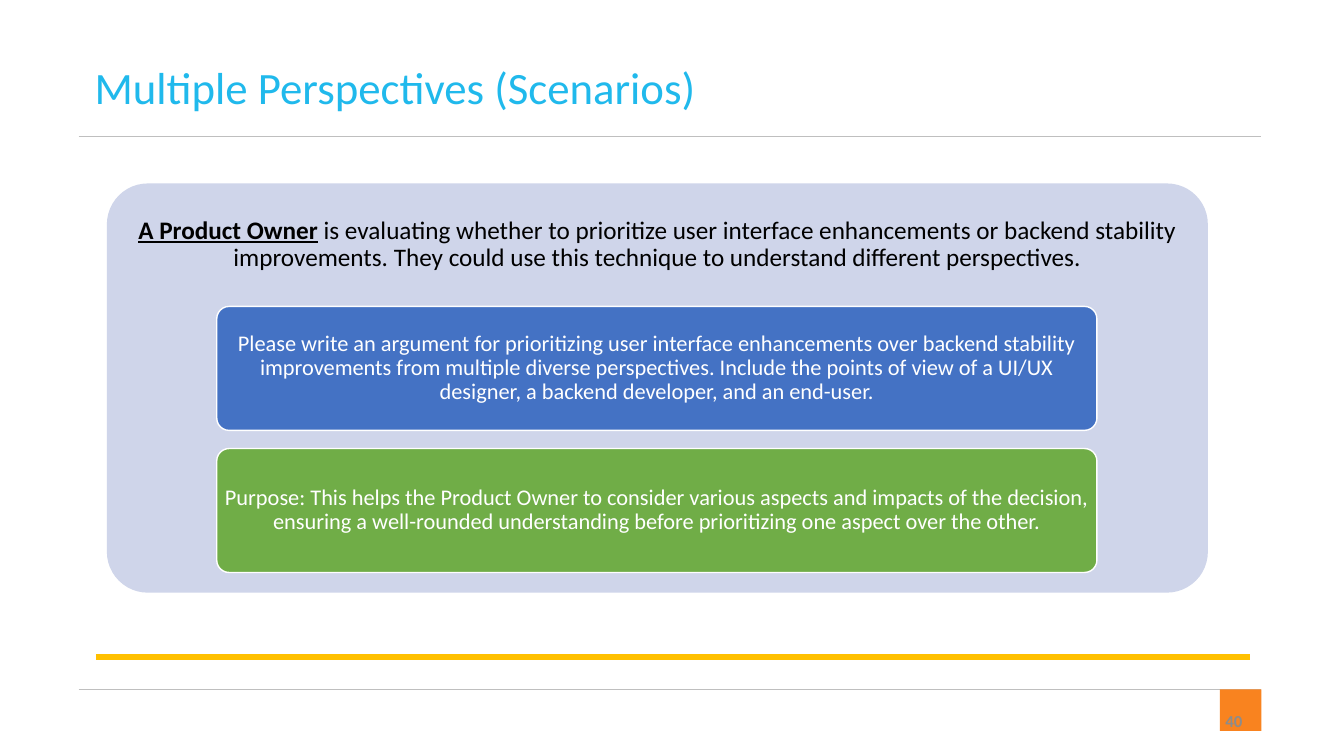
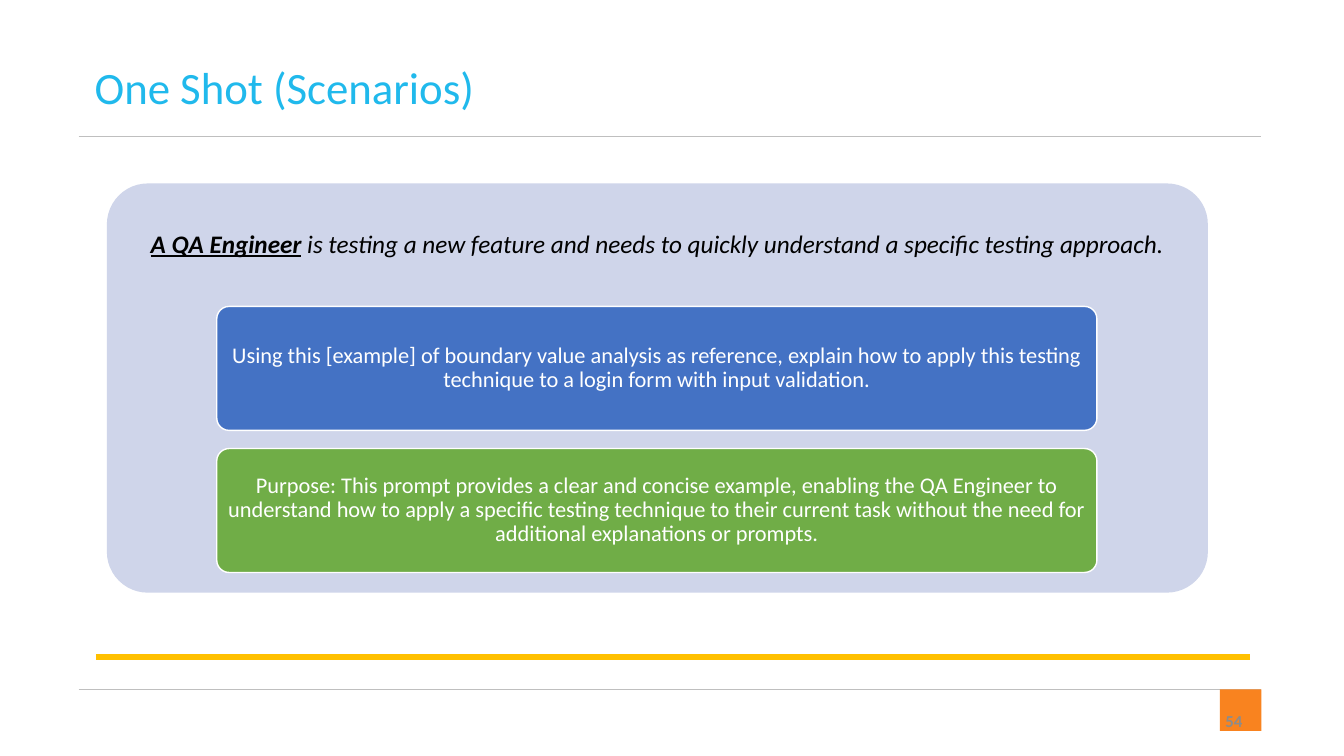
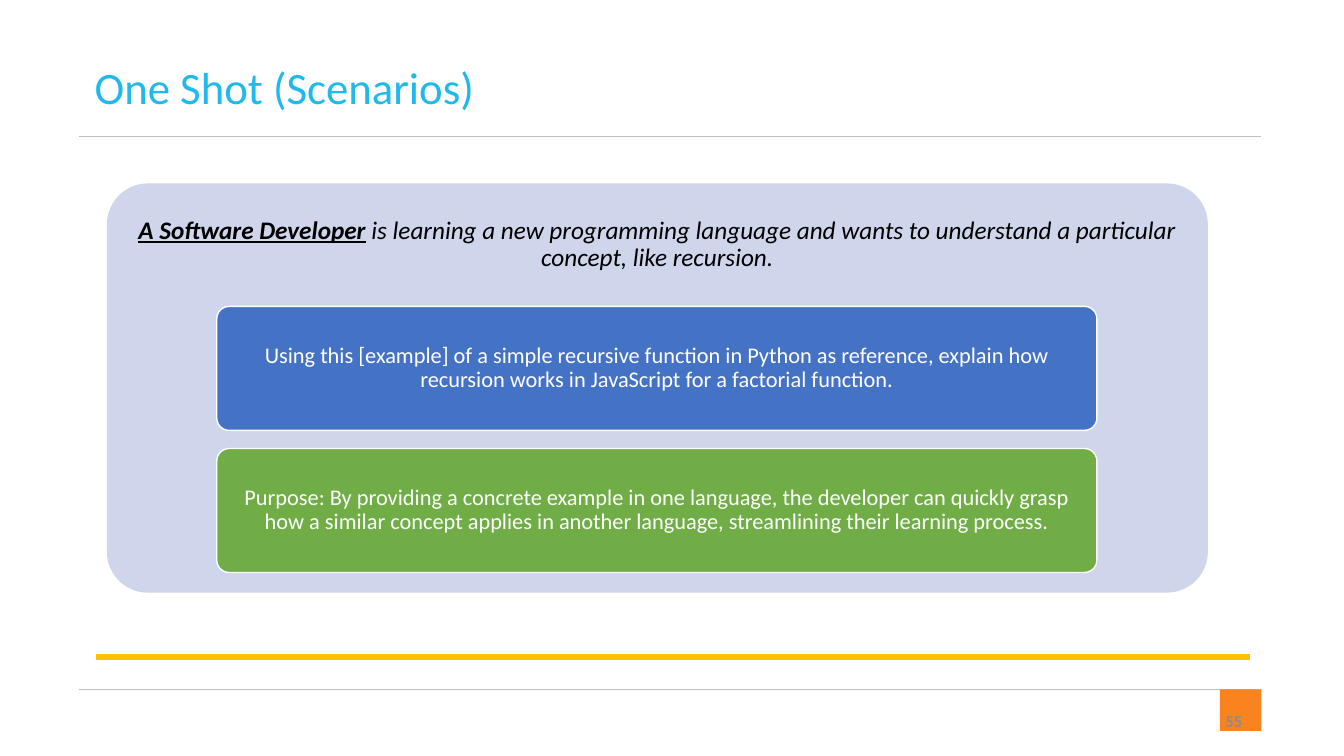
from dataclasses import dataclass

from lxml import etree
from pptx import Presentation
from pptx.dml.color import RGBColor
from pptx.enum.shapes import MSO_CONNECTOR, MSO_SHAPE
from pptx.enum.text import MSO_ANCHOR as ANCHOR, PP_ALIGN as ALIGN
from pptx.oxml.ns import qn
from pptx.util import Inches, Pt


@dataclass(frozen=True)
class Theme:
    font: str = "Calibri"
    title: str = "20B9EC"
    text: str = "000000"
    white: str = "FFFFFF"
    number: str = "8C8C8C"
    rule: str = "BFBFBF"
    accent: str = "FFC000"
    corner: str = "F9831F"
    panel: str = "CFD5EA"
    cards: tuple = ("4472C4", "70AD47")
    title_size: int = 32
    lead_size: int = 18
    card_size: int = 16
    number_size: int = 12


T = Theme()

# Slide content: title, page number, role, situation, italic lead, card texts
SLIDES = [
    ("Multiple Perspectives (Scenarios)", "40", "A Product Owner",
     " is evaluating whether to prioritize user interface enhancements or backend "
     "stability improvements. They could use this technique to understand different "
     "perspectives.", False,
     ("Please write an argument for prioritizing user interface enhancements over "
      "backend stability improvements from multiple diverse perspectives. Include the "
      "points of view of a UI/UX designer, a backend developer, and an end-user.",
      "Purpose: This helps the Product Owner to consider various aspects and impacts of "
      "the decision, ensuring a well-rounded understanding before prioritizing one "
      "aspect over the other.")),
    ("One Shot (Scenarios)", "54", "A QA Engineer",
     " is testing a new feature and needs to quickly understand a specific testing "
     "approach.", True,
     ("Using this [example] of boundary value analysis as reference, explain how to "
      "apply this testing technique to a login form with input validation.",
      "Purpose: This prompt provides a clear and concise example, enabling the QA "
      "Engineer to understand how to apply a specific testing technique to their "
      "current task without the need for additional explanations or prompts.")),
    ("One Shot (Scenarios)", "55", "A Software Developer",
     " is learning a new programming language and wants to understand a particular "
     "concept, like recursion.", True,
     ("Using this [example] of a simple recursive function in Python as reference, "
      "explain how recursion works in JavaScript for a factorial function.",
      "Purpose: By providing a concrete example in one language, the developer can "
      "quickly grasp how a similar concept applies in another language, streamlining "
      "their learning process.")),
]

# Horizontal rules: left, right, y, colour, width in points
RULES = [(0.78, 12.51, 6.84, T.rule, 0.5),
         (0.78, 12.51, 1.35, T.rule, 0.5),
         (0.95, 12.4, 6.52, T.accent, 4.5)]
CARD_TOP, CARD_STEP = 3.04, 1.41


def add_box(s, kind, box, fill):
    sp = s.shapes.add_shape(kind, *map(Inches, box))
    sp.shadow.inherit = False
    sp.fill.solid()
    sp.fill.fore_color.rgb = RGBColor.from_string(fill)
    sp.line.fill.background()
    if kind == MSO_SHAPE.ROUNDED_RECTANGLE:
        sp.adjustments[0] = 0.1
    return sp


def set_text(sp, parts, size, color, align=ALIGN.LEFT, anchor=ANCHOR.MIDDLE,
             inset=(0.1, 0.05), spacing=1.0):
    tf = sp.text_frame
    tf.word_wrap = True
    tf.vertical_anchor = anchor
    tf.margin_left = tf.margin_right = Inches(inset[0])
    tf.margin_top = tf.margin_bottom = Inches(inset[1])
    p = tf.paragraphs[0]
    p.alignment = align
    p.line_spacing = spacing
    p.font.name = T.font
    p.font.size = Pt(size)
    p.font.color.rgb = RGBColor.from_string(color)
    for part in parts:
        p.add_run().text = part
    return p


prs = Presentation()
prs.slide_width, prs.slide_height = Inches(13.33), Inches(7.5)

for title, number, role, situation, italic, cards in SLIDES:
    s = prs.slides.add_slide(prs.slide_layouts[6])

    # Rules and corner square
    for left, right, y, color, width in RULES:
        line = s.shapes.add_connector(MSO_CONNECTOR.STRAIGHT, Inches(left), Inches(y),
                                      Inches(right), Inches(y))
        line.line.color.rgb = RGBColor.from_string(color)
        line.line.width = Pt(width)
        etree.SubElement(line._element.spPr, qn("a:effectLst"))
    add_box(s, MSO_SHAPE.RECTANGLE, (12.1, 6.84, 0.41, 0.41), T.corner)

    # Page number and title
    sp = s.shapes.add_textbox(Inches(9.42), Inches(6.95), Inches(3), Inches(0.4))
    p = set_text(sp, [number], T.number_size, T.number, ALIGN.RIGHT)
    p.font.bold = True
    sp = s.shapes.add_textbox(Inches(0.84), Inches(0.54), Inches(11.97), Inches(0.64))
    set_text(sp, [title], T.title_size, T.title, anchor=ANCHOR.TOP)

    # Panel with its lead sentence
    add_box(s, MSO_SHAPE.ROUNDED_RECTANGLE, (1.06, 1.82, 10.92, 4.06), T.panel)
    sp = s.shapes.add_textbox(Inches(1.06), Inches(1.82), Inches(10.92), Inches(1.22))
    p = set_text(sp, [role, situation], T.lead_size, T.text, ALIGN.CENTER,
                 inset=(0.07, 0.07), spacing=0.9)
    p.font.italic = italic
    r = p.runs[0]
    r.font.bold = r.font.underline = True

    # Prompt and purpose cards
    for i, (text, fill) in enumerate(zip(cards, T.cards)):
        sp = add_box(s, MSO_SHAPE.ROUNDED_RECTANGLE,
                     (2.15, CARD_TOP + i * CARD_STEP, 8.73, 1.23), fill)
        sp.line.color.rgb = RGBColor.from_string(T.white)
        sp.line.width = Pt(1)
        set_text(sp, [text], T.card_size, T.white, ALIGN.CENTER,
                 inset=(0.04, 0.03), spacing=0.9)

prs.save("out.pptx")
